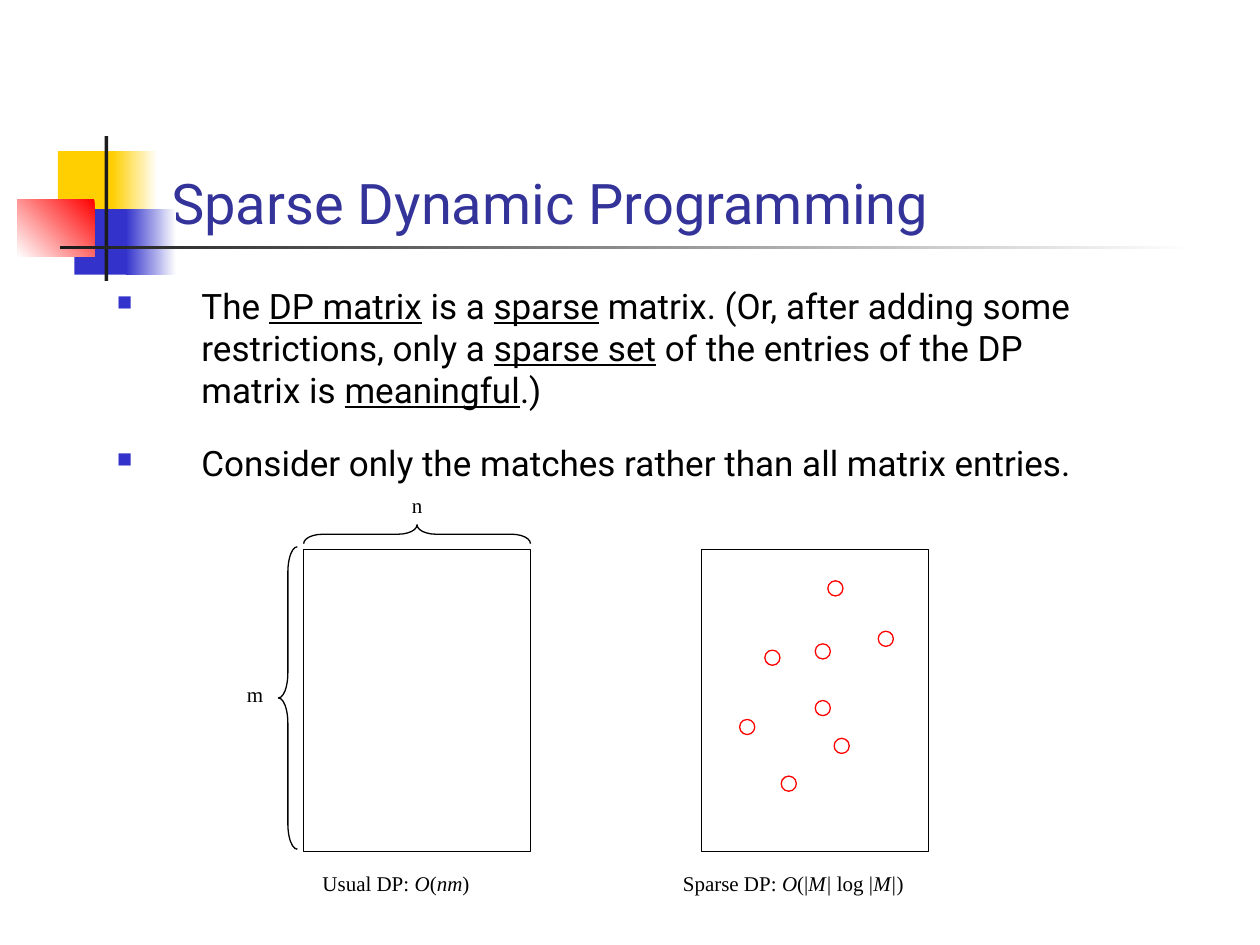
from lxml.etree import SubElement
from pptx import Presentation
from pptx.dml.color import RGBColor
from pptx.enum.shapes import MSO_SHAPE
from pptx.enum.text import MSO_ANCHOR, PP_ALIGN
from pptx.oxml.ns import qn
from pptx.util import Inches, Pt

BLACK, WHITE, RED = "000000", "FFFFFF", "FF0000"
BLUE, YELLOW, CHARCOAL, TITLE_BLUE = "3333CC", "FFCF01", "1C1C1C", "333399"


def color(hex_string):
    return RGBColor.from_string(hex_string)


def inches(*lengths):
    return [Inches(length) for length in lengths]


def add_shape(slide, kind, box, fill=None, line=None):
    shape = slide.shapes.add_shape(kind, *inches(*box))
    shape.shadow.inherit = False
    if fill:
        shape.fill.solid()
        shape.fill.fore_color.rgb = color(fill)
    else:
        shape.fill.background()
    if line:
        shape.line.color.rgb = color(line)
        shape.line.width = Pt(0.75)
    else:
        shape.line.fill.background()
    return shape


def add_gradient(slide, box, start, end, angle):
    shape = add_shape(slide, MSO_SHAPE.RECTANGLE, box)
    shape.fill.gradient()
    shape.fill.gradient_angle = angle
    for stop, position, stop_color in zip(shape.fill.gradient_stops, (0, 1), (start, end)):
        stop.position = position
        stop.color.rgb = color(stop_color)


def add_run(paragraph, text, font_name, size, text_color, underline=None, italic=None):
    run = paragraph.add_run()
    run.text = text
    run.font.name = font_name
    run.font.size = Pt(size)
    run.font.color.rgb = color(text_color)
    run.font.underline = underline
    run.font.italic = italic


def add_label(slide, box, parts, wrap=False):
    """Serif label; parts are (text, italic) pairs."""
    frame = slide.shapes.add_textbox(*inches(*box)).text_frame
    frame.word_wrap = wrap
    frame.margin_left = frame.margin_right = frame.margin_top = frame.margin_bottom = 0
    for text, italic in parts:
        add_run(frame.paragraphs[0], text, "Times New Roman", 12, BLACK, italic=italic)


def add_ornament(slide, left, top):
    # Solid blocks that fade out to the right
    for x, y, solid, fade, block_color in ((0.32, 0.12, 0.48, 0.36, YELLOW),
                                           (0.45, 0.58, 0.46, 0.4, BLUE)):
        add_shape(slide, MSO_SHAPE.RECTANGLE, (left + x, top + y, solid, 0.52), block_color)
        fade_left = left + x + solid - 0.05
        add_gradient(slide, (fade_left, top + y, fade, 0.52), WHITE, block_color, 180)
    add_gradient(slide, (left, top + 0.5, 0.61, 0.46), RED, WHITE, 225)
    # Crossing bars
    add_shape(slide, MSO_SHAPE.RECTANGLE, (left + 0.69, top, 0.03, 1.15), CHARCOAL)
    add_gradient(slide, (left + 0.34, top + 0.87, 9, 0.03), WHITE, CHARCOAL, 180)


def add_title(slide, box, text):
    title = slide.shapes.title
    title.left, title.top, title.width, title.height = inches(*box)
    title.text_frame.vertical_anchor = MSO_ANCHOR.BOTTOM
    paragraph = title.text_frame.paragraphs[0]
    paragraph.alignment = PP_ALIGN.LEFT
    add_run(paragraph, text, "Roboto", 32, TITLE_BLUE)


def add_bullet(paragraph):
    properties = paragraph._p.get_or_add_pPr()
    properties.set("marL", str(Inches(0.67)))
    properties.set("indent", str(-Inches(0.67)))
    bullet_color = SubElement(properties, qn("a:buClr"))
    SubElement(bullet_color, qn("a:srgbClr"), val=BLUE)
    SubElement(properties, qn("a:buSzPct"), val="60000")
    SubElement(properties, qn("a:buChar"), char="■")


def add_bullets(slide, box, items):
    """Each item is a list of (text, underlined) pairs."""
    frame = slide.shapes.add_textbox(*inches(*box)).text_frame
    frame.word_wrap = True
    for index, parts in enumerate(items):
        paragraph = frame.add_paragraph() if index else frame.paragraphs[0]
        if index:
            paragraph.space_before = Pt(5)
        paragraph.space_after = Pt(12.5)
        add_bullet(paragraph)
        for text, underlined in parts:
            add_run(paragraph, text, "Roboto", 20, BLACK, underline=underlined)


def add_brace(slide, box, curve, rotation=0):
    brace = add_shape(slide, MSO_SHAPE.LEFT_BRACE, box, line=BLACK)
    brace.adjustments[0] = curve
    brace.rotation = rotation


def add_full_matrix(slide, left, top, width, height):
    add_shape(slide, MSO_SHAPE.RECTANGLE, (left, top, width, height), WHITE, BLACK)
    depth = 0.15
    # Row count
    add_brace(slide, (left - 0.2, top - 0.02, depth, height), 1.33)
    add_label(slide, (left - 0.45, top + 1.05, 0.3, 0.2), [("m", None)], wrap=True)
    # Column count: an upright brace turned about its centre
    center_x, center_y = left + width / 2, top - 0.12
    add_brace(slide, (center_x - depth / 2, center_y - width / 2, depth, width), 1, 90)
    add_label(slide, (center_x - 0.04, top - 0.45, 0.3, 0.2), [("n", None)], wrap=True)
    # Caption
    add_label(slide, (left + 0.15, top + height + 0.15, 1.4, 0.3),
              [("Usual DP: ", None), ("O", True), ("(", None), ("nm", True), (")", None)])


def add_sparse_matrix(slide, left, top, width, height):
    add_shape(slide, MSO_SHAPE.RECTANGLE, (left, top, width, height), WHITE, BLACK)
    # Matches
    matches = [(0.3, 1.35), (0.5, 0.8), (0.63, 1.8), (1, 0.25),
               (0.9, 0.75), (1.4, 0.65), (0.9, 1.2), (1.05, 1.5)]
    for x, y in matches:
        add_shape(slide, MSO_SHAPE.FLOWCHART_CONNECTOR,
                  (left + x, top + y, 0.12, 0.12), WHITE, RED)
    # Caption
    add_label(slide, (left - 0.15, top + height + 0.15, 2.1, 0.3),
              [("Sparse DP: ", None), ("O", True), ("(|", None), ("M| ", True),
               ("log |", None), ("M|", True), (")", None)])


def main():
    presentation = Presentation()
    presentation.slide_width, presentation.slide_height = inches(10, 7.5)
    slide = presentation.slides.add_slide(presentation.slide_layouts[5])

    add_ornament(slide, 0.14, 1.08)
    add_title(slide, (1.26, 0.67, 8.52, 1.25), "Sparse Dynamic Programming")
    add_bullets(slide, (0.83, 2.21, 8.11, 1.8), [
        [("The ", None), ("DP matrix", True), (" is a ", None), ("sparse", True),
         (" matrix. (Or, after adding some restrictions, only a ", None),
         ("sparse set", True), (" of the entries of the DP matrix is ", None),
         ("meaningful", True), (".)", None)],
        [("Consider only the matches rather than all matrix entries.", None)],
    ])
    add_full_matrix(slide, 2.41, 4.36, 1.8, 2.4)
    add_sparse_matrix(slide, 5.57, 4.36, 1.8, 2.4)

    presentation.save("out.pptx")


if __name__ == "__main__":
    main()
